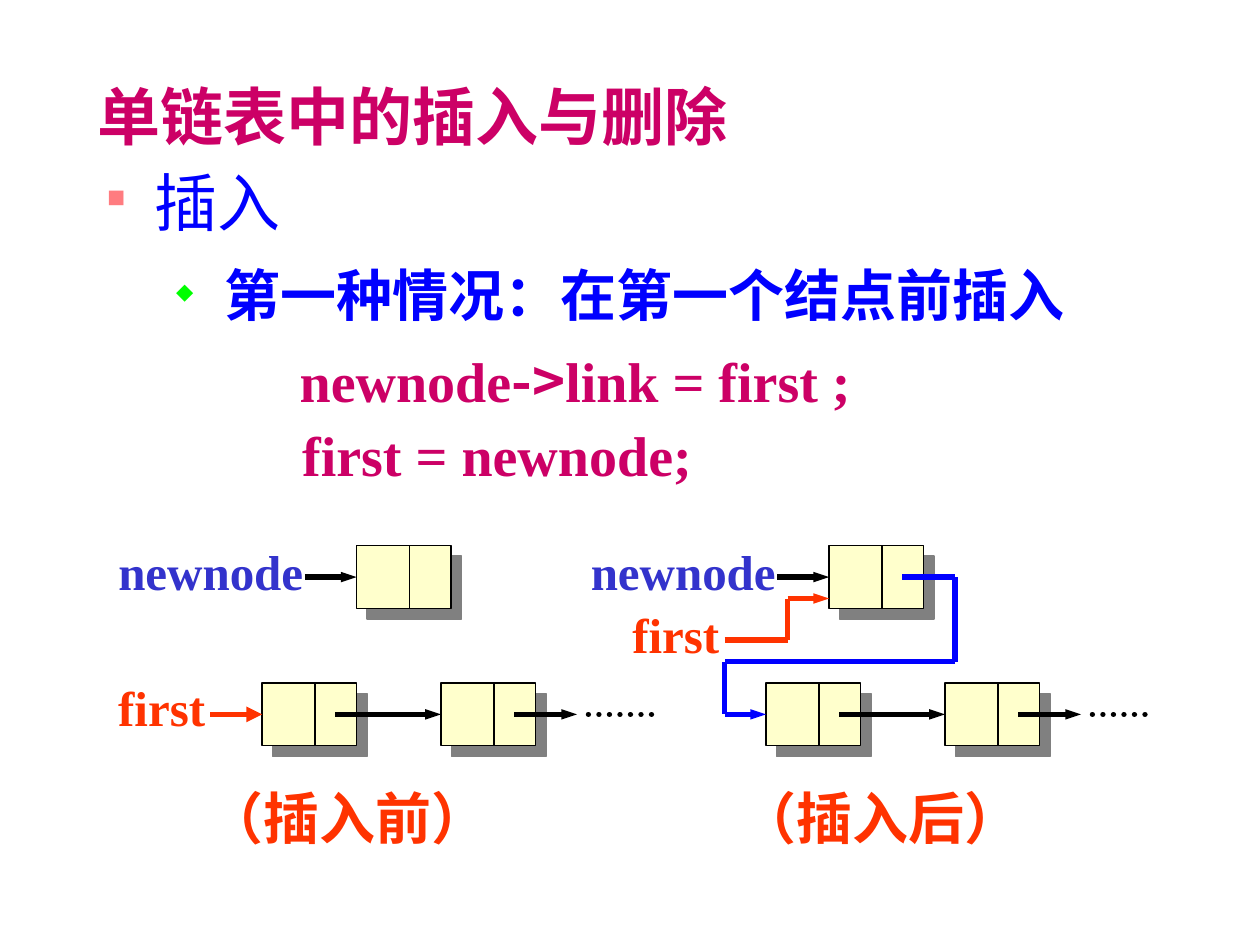
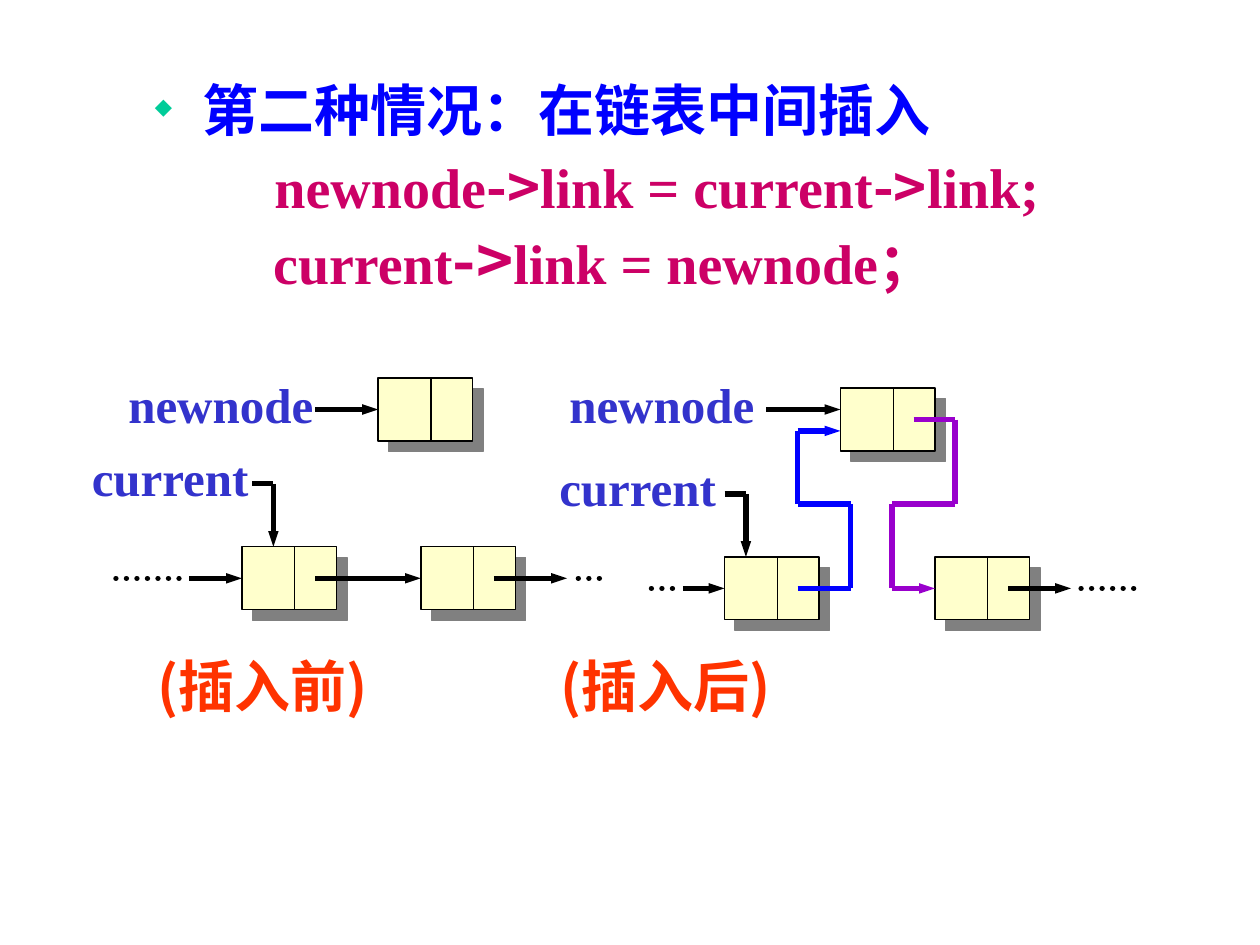
import collections
import itertools

import pptx
import pptx.dml.color
import pptx.enum.dml
import pptx.enum.shapes
import pptx.enum.text
import pptx.oxml.ns
import pptx.util
from lxml import etree
from pptx.util import Inches, Pt

SERIF, SANS = "Times New Roman", "Noto Sans CJK SC"
BLACK, BLUE, INDIGO, PURPLE = "000000", "0000FF", "3333CC", "9900CC"
MAGENTA, ORANGE, CREAM, GRAY = "CC0066", "FF3300", "FFFFCC", "808080"
PINK, GREEN, TEAL = "FF7C80", "00FF00", "00CC99"
NODE_WIDTH, NODE_HEIGHT, DIVIDER, LINK_START = 0.75, 0.5, 0.42, 0.58
CASE_INDENT, CASE_HANGING = 0.93, -0.38

Node = collections.namedtuple("Node", "shape left middle")


def color(hex_string):
    return pptx.dml.color.RGBColor.from_string(hex_string)


def add_xml(parent, tag, **attributes):
    return etree.SubElement(parent, pptx.oxml.ns.qn("a:" + tag), attributes)


# ---- Text ----
def style_span(span, size, hex_color, bold=True, latin=SERIF):
    font = span.font
    font.size, font.bold, font.name = Pt(size), bold, latin
    font.color.rgb = color(hex_color)
    add_xml(font._element, "ea", typeface=SANS)


def add_text(slide, left, top, width, height, text, size, hex_color, latin=SERIF):
    box = slide.shapes.add_textbox(
        Inches(left), Inches(top), Inches(width), Inches(height))
    frame = box.text_frame
    frame.word_wrap = True
    frame.text = text
    style_span(frame.paragraphs[0].runs[0], size, hex_color, latin=latin)


def add_outline_box(slide, left, top, width, height):
    box = slide.shapes.add_textbox(
        Inches(left), Inches(top), Inches(width), Inches(height))
    box.text_frame.word_wrap = True
    return box.text_frame


def set_line(para, spacing, indent, hanging=0):
    para.line_spacing = Pt(spacing)
    properties = para._p.get_or_add_pPr()
    properties.set("marL", str(Inches(indent)))
    properties.set("indent", str(Inches(hanging)))
    return properties


def add_bullet_line(para, text, spacing, indent, hanging, bullet, bullet_color,
                    size=32, bold=True):
    properties = set_line(para, spacing, indent, hanging)
    add_xml(add_xml(properties, "buClr"), "srgbClr", val=bullet_color)
    add_xml(properties, "buSzPct", val="40000")
    add_xml(properties, "buChar", char=bullet)
    para.text = text
    style_span(para.runs[0], size, BLUE, bold)


def add_code_line(para, text, spacing, indent, arrow_size=32):
    """Code in the serif face, with every -> in the sans face."""
    set_line(para, spacing, indent)
    for position, part in enumerate(text.split("->")):
        if position:
            arrow = para.add_run()
            arrow.text = "->"
            style_span(arrow, arrow_size, MAGENTA, latin=SANS)
        span = para.add_run()
        span.text = part
        style_span(span, 32, MAGENTA)


# ---- Linked-list drawing, relative to a corner ----
class Diagram:
    def __init__(self, slide, left, top):
        self.slide, self.left, self.top = slide, left, top

    def segment(self, start, end, hex_color=BLACK, width=3):
        line = self.slide.shapes.add_connector(
            pptx.enum.shapes.MSO_CONNECTOR.STRAIGHT,
            Inches(self.left + start[0]), Inches(self.top + start[1]),
            Inches(self.left + end[0]), Inches(self.top + end[1]))
        line.line.color.rgb = color(hex_color)
        line.line.width = Pt(width)
        add_xml(line._element.spPr, "effectLst")
        return line

    def node(self, left, top):
        shape = self.slide.shapes.add_shape(
            pptx.enum.shapes.MSO_SHAPE.RECTANGLE,
            Inches(self.left + left), Inches(self.top + top),
            Inches(NODE_WIDTH), Inches(NODE_HEIGHT))
        shape.fill.solid()
        shape.fill.fore_color.rgb = color(CREAM)
        shape.line.color.rgb = color(BLACK)
        shape.line.width = Pt(0.75)
        shape.shadow.inherit = False
        effects = shape._element.spPr.find(pptx.oxml.ns.qn("a:effectLst"))
        shadow = add_xml(effects, "outerShdw", dist=str(Pt(8.5)),
                         dir="2700000", algn="ctr", rotWithShape="0")
        add_xml(shadow, "srgbClr", val=GRAY)
        self.segment((left + DIVIDER, top),
                     (left + DIVIDER, top + NODE_HEIGHT), width=0.75)
        return Node(shape, left, top + NODE_HEIGHT / 2)

    def arrow(self, *points, target=None, hex_color=BLACK, head="sm"):
        """Route through the points; a target is entered at its left side."""
        points = list(points)
        if target:
            points.append((target.left, target.middle))
        for start, end in itertools.pairwise(points):
            line = self.segment(start, end, hex_color)
        if target:
            line.end_connect(target.shape, 1)
        outline = line.line._get_or_add_ln()
        add_xml(outline, "tailEnd", type="triangle", w=head, len="med")

    def dots(self, left, middle, length):
        line = self.segment((left, middle), (left + length, middle))
        line.line.dash_style = pptx.enum.dml.MSO_LINE.ROUND_DOT
        line.line._get_or_add_ln().set("cap", "rnd")

    def label(self, text, left, top, width=1.85, hex_color=INDIGO):
        add_text(self.slide, self.left + left, self.top + top, width, 0.57,
                 text, 28, hex_color)

    def caption(self, text, left, top, latin=SERIF):
        add_text(self.slide, self.left + left, self.top + top, 2.6, 0.74,
                 text, 32, ORANGE, latin)


def link_field(node):
    return node.left + LINK_START, node.middle


def draw_chain(diagram, left, top, arrow_length, dots_length):
    """Two linked nodes that run on into dots; returns the first."""
    first = diagram.node(left, top)
    second = diagram.node(left + 1.42, top)
    arrow_start, middle = link_field(second)
    arrow_end = arrow_start + arrow_length
    diagram.arrow(link_field(first), target=second)
    diagram.arrow((arrow_start, middle), (arrow_end, middle))
    diagram.dots(arrow_end + 0.09, middle, dots_length)
    return first


def draw_new_node(diagram):
    """The labelled new node above the list before or after the first node."""
    diagram.label("newnode", 0, 0)
    new_node = diagram.node(1.99, 0.08)
    diagram.arrow((1.58, 0.33), target=new_node)
    return new_node


def draw_head_before(slide, left, top):
    diagram = Diagram(slide, left, top)
    draw_new_node(diagram)
    diagram.label("first", 0, 1.08, 1.1, ORANGE)
    first = draw_chain(diagram, 1.24, 1.17, 0.5, 0.58)
    diagram.arrow((0.83, 1.42), target=first, hex_color=ORANGE, head="med")
    diagram.caption("（插入前）", 0.71, 1.92)


def draw_head_after(slide, left, top):
    diagram = Diagram(slide, left, top)
    new_node = draw_new_node(diagram)
    diagram.label("first", 0.33, 0.5, 1.1, ORANGE)
    diagram.arrow((1.16, 0.83), (1.66, 0.83), (1.66, 0.5), (1.99, 0.5),
                  hex_color=ORANGE)
    old_first = draw_chain(diagram, 1.49, 1.17, 0.5, 0.5)
    diagram.arrow(link_field(new_node), (2.99, 0.33), (2.99, 1), (1.16, 1),
                  (1.16, 1.42), target=old_first, hex_color=BLUE)
    diagram.caption("（插入后）", 1.19, 1.92)


def draw_middle_before(slide, left, top):
    diagram = Diagram(slide, left, top)
    diagram.label("newnode", 0.29, 0)
    new_node = diagram.node(2.37, 0.08)
    diagram.arrow((1.87, 0.33), target=new_node)
    diagram.label("current", 0, 0.58)
    diagram.dots(0.29, 1.67, 0.58)
    current = draw_chain(diagram, 1.29, 1.42, 0.58, 0.25)
    diagram.arrow((0.87, 1.67), target=current)
    diagram.arrow((1.37, 0.92), (1.54, 0.92), (1.54, 1.42))
    diagram.caption("(插入前)", 0.52, 2.2, SANS)


def draw_middle_after(slide, left, top):
    diagram = Diagram(slide, left, top)
    diagram.label("newnode", 0.08, 0)
    new_node = diagram.node(2.33, 0.16)
    diagram.arrow((1.74, 0.33), (2.33, 0.33))
    diagram.label("current", 0, 0.66)
    current = diagram.node(1.41, 1.5)
    following = diagram.node(3.08, 1.5)
    diagram.arrow((1.41, 1), (1.58, 1), (1.58, 1.5))
    diagram.dots(0.83, 1.75, 0.25)
    diagram.arrow((1.08, 1.75), target=current)
    diagram.arrow(link_field(current), (2.41, 1.75), (2.41, 1.08), (1.99, 1.08),
                  (1.99, 0.5), (2.33, 0.5), hex_color=BLUE)
    diagram.arrow(link_field(new_node), (3.24, 0.41), (3.24, 1.08),
                  (2.74, 1.08), (2.74, 1.75), target=following, hex_color=PURPLE)
    diagram.arrow(link_field(following), (4.16, 1.75))
    diagram.dots(4.24, 1.75, 0.5)
    diagram.caption("(插入后)", 0.01, 2.2, SANS)


# ---- Slides ----
def set_title(slide, text):
    title = slide.shapes.title
    title.left, title.top = Inches(0.67), Inches(0.5)
    title.width, title.height = Inches(5.83), Inches(0.83)
    title.text_frame.text = text
    title.text_frame.vertical_anchor = pptx.enum.text.MSO_ANCHOR.MIDDLE
    para = title.text_frame.paragraphs[0]
    para.alignment = pptx.enum.text.PP_ALIGN.LEFT
    style_span(para.runs[0], 36, MAGENTA)


def build_head_slide(deck):
    slide = deck.slides.add_slide(deck.slide_layouts[5])
    set_title(slide, "单链表中的插入与删除")
    frame = add_outline_box(slide, 0.75, 1.25, 9.2, 2.75)
    add_bullet_line(frame.paragraphs[0], "插入", 43, 0.38, -0.38, "■", PINK,
                    size=36, bold=False)
    add_bullet_line(frame.add_paragraph(), "第一种情况：在第一个结点前插入", 50.5,
                    CASE_INDENT, CASE_HANGING, "◆", GREEN)
    add_code_line(frame.add_paragraph(), "newnode->link = first ;", 49.5, 1.53)
    add_code_line(frame.add_paragraph(), "first = newnode;", 42, 1.55)
    draw_head_before(slide, 0.84, 4.25)
    draw_head_after(slide, 4.59, 4.25)


def build_middle_slide(deck):
    slide = deck.slides.add_slide(deck.slide_layouts[6])
    frame = add_outline_box(slide, 0.58, 0.5, 9.42, 2)
    add_bullet_line(frame.paragraphs[0], "第二种情况：在链表中间插入", 42,
                    CASE_INDENT, CASE_HANGING, "◆", TEAL)
    add_code_line(frame.add_paragraph(), "newnode->link = current->link;", 44, 1.5)
    add_code_line(frame.add_paragraph(), "current->link = newnode；", 44, 1.49,
                  arrow_size=36)
    draw_middle_before(slide, 0.63, 2.92)
    draw_middle_after(slide, 4.34, 2.92)


def main():
    deck = pptx.Presentation()
    deck.slide_width, deck.slide_height = Inches(10), Inches(7.5)
    build_head_slide(deck)
    build_middle_slide(deck)
    deck.save("out.pptx")


if __name__ == "__main__":
    main()
